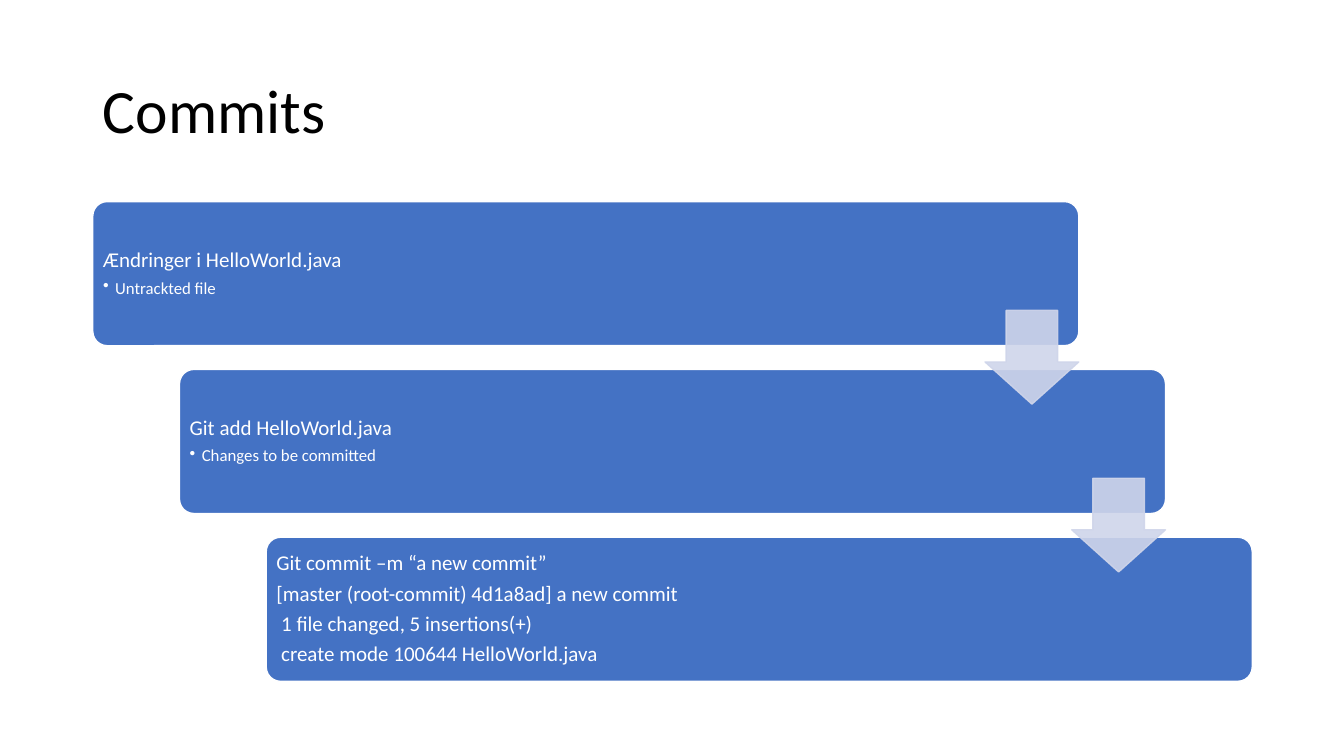
from dataclasses import dataclass

from lxml.etree import SubElement
from pptx import Presentation
from pptx.dml.color import RGBColor
from pptx.enum.shapes import MSO_SHAPE
from pptx.enum.text import MSO_ANCHOR, PP_ALIGN
from pptx.oxml.ns import qn
from pptx.util import Inches, Pt


@dataclass(frozen=True)
class Theme:
    font: str = "Calibri"
    ink: str = "000000"
    paper: str = "FFFFFF"
    card: str = "4472C4"
    arrow: str = "CFD5EA"
    title: int = 44
    head: int = 15
    point: int = 12


THEME = Theme()

# Staircase grid, in inches
WIDE, HIGH = 13.33, 7.5
LEFT, TOP = 0.92, 2.0
CARD_W, CARD_H = 9.78, 1.43
STEP_X, STEP_Y = 0.86, 1.665
ARROW = 0.93
DROP = 1.08  # from a card's top to its arrow's top
INDENT = 0.12

# Each step: head lines, then bullet points
STEPS = [
    (["Ændringer i HelloWorld.java"], ["Untrackted file"]),
    (["Git add HelloWorld.java"], ["Changes to be committed"]),
    (["Git commit –m “a new commit”",
      "[master (root-commit) 4d1a8ad] a new commit",
      " 1 file changed, 5 insertions(+)",
      " create mode 100644 HelloWorld.java"], []),
]


def style(par, size, color):
    par.font.name = THEME.font
    par.font.size = Pt(size)
    par.font.color.rgb = RGBColor.from_string(color)
    par.alignment = PP_ALIGN.LEFT
    par.line_spacing = 0.9


def add_title(slide, text):
    title = slide.shapes.title
    title.left, title.top = Inches(LEFT), Inches(0.4)
    title.width, title.height = Inches(11.5), Inches(1.45)
    title.text_frame.text = text
    title.text_frame.vertical_anchor = MSO_ANCHOR.MIDDLE
    style(title.text_frame.paragraphs[0], THEME.title, THEME.ink)


def add_block(slide, kind, box, fill, line, adjust):
    block = slide.shapes.add_shape(kind, *map(Inches, box))
    block.shadow.inherit = False
    for index, value in enumerate(adjust):
        block.adjustments[index] = value
    block.fill.solid()
    block.fill.fore_color.rgb = RGBColor.from_string(fill)
    block.line.color.rgb = RGBColor.from_string(line)
    block.line.width = Pt(1)
    return block


def add_bullet(par):
    props = par._p.get_or_add_pPr()
    props.set("marL", str(Inches(INDENT)))
    props.set("indent", str(Inches(-INDENT)))
    SubElement(props, qn("a:buChar")).set("char", "•")


def add_card(slide, step, heads, points):
    box = LEFT + step * STEP_X, TOP + step * STEP_Y, CARD_W, CARD_H
    card = add_block(slide, MSO_SHAPE.ROUNDED_RECTANGLE, box,
                     THEME.card, THEME.paper, [0.1])
    frame = card.text_frame
    frame.word_wrap = True
    frame.vertical_anchor = MSO_ANCHOR.MIDDLE
    frame.margin_left = frame.margin_right = Inches(0.06)
    frame.margin_top = frame.margin_bottom = Inches(0.06)
    frame.text = "\n".join(heads + points)
    for index, par in enumerate(frame.paragraphs):
        is_head = index < len(heads)
        size = THEME.head if is_head else THEME.point
        style(par, size, THEME.paper)
        par.space_after = Pt(size * (0.35 if is_head else 0.15))
        if not is_head:
            par.level = 1
            add_bullet(par)


def add_arrow(slide, step):
    left = LEFT + step * STEP_X + CARD_W - ARROW
    top = TOP + step * STEP_Y + DROP
    arrow = add_block(slide, MSO_SHAPE.DOWN_ARROW, (left, top, ARROW, ARROW),
                      THEME.arrow, THEME.arrow, [0.55, 0.45])
    # Fill and outline let a little of the cards through
    for color in arrow._element.spPr.iter(qn("a:srgbClr")):
        SubElement(color, qn("a:alpha")).set("val", "90000")


def main():
    deck = Presentation()
    deck.slide_width, deck.slide_height = Inches(WIDE), Inches(HIGH)
    slide = deck.slides.add_slide(deck.slide_layouts[5])
    add_title(slide, "Commits")

    # Cards first, so that the arrows lie on top
    for step, (heads, points) in enumerate(STEPS):
        add_card(slide, step, heads, points)
    for step in range(len(STEPS) - 1):
        add_arrow(slide, step)

    deck.save("out.pptx")


if __name__ == "__main__":
    main()
